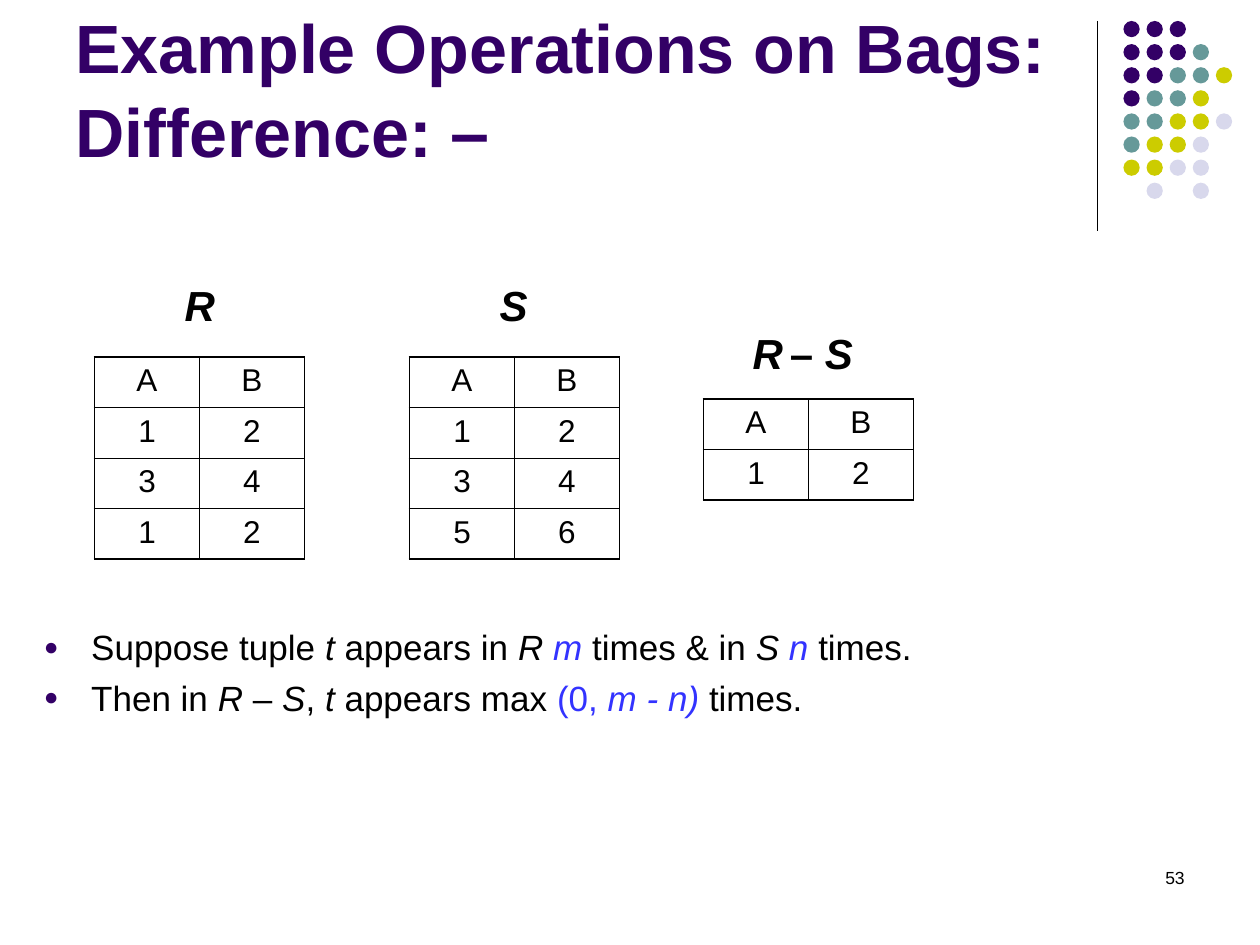
from lxml.etree import SubElement
from pptx import Presentation
from pptx.dml.color import RGBColor
from pptx.enum.shapes import MSO_CONNECTOR, MSO_SHAPE
from pptx.enum.text import MSO_ANCHOR, PP_ALIGN
from pptx.oxml.ns import qn
from pptx.util import Emu, Pt

COLS, ROWS = 120, 90
UNIT = 76200
INK, PLUM, BLUE = "000000", "330066", "3333FF"
DOTS = ["PPP", "PPPT", "PPTTY", "PTTY", "TTYYL", "TYYL", "YYLL", ".L.L"]
HUES = {"P": PLUM, "T": "669999", "Y": "CCCC00", "L": "D8D8EC"}
BASE = {"name": "Arial", "size": Pt(18), "bold": False, "italic": False}
HEAD = {"size": Pt(39), "bold": True}
MARK = {"size": Pt(24), "bold": True, "italic": True}
BODY = {"size": Pt(20)}
ITAL = {"italic": True}


def grid(*cells):
    """Turn grid units into lengths."""
    return [Emu(round(cell * UNIT)) for cell in cells]


def tint(hue):
    """Turn a hex string into a colour."""
    return RGBColor.from_string(hue)


def assign(item, form):
    """Set each attribute named in a dict."""
    for key, value in form.items():
        setattr(item, key, value)


def write(para, runs, form):
    """Add runs of (text, extra format, colour) to a paragraph."""
    for text, extra, hue in runs:
        run = para.add_run()
        run.text = text
        assign(run.font, {**BASE, **form, **extra})
        run.font.color.rgb = tint(hue)


def add_text(slide, place, lines, form, frame=None, para=None):
    """Add a text box with one paragraph for each list of runs."""
    box = slide.shapes.add_textbox(*grid(*place)).text_frame
    assign(box, {"word_wrap": True, **(frame or {})})
    for num, runs in enumerate(lines):
        item = box.add_paragraph() if num else box.paragraphs[0]
        assign(item, para or {})
        write(item, runs, form)
    return box


def add_points(slide, place, lines):
    """Add a bulleted list."""
    box = add_text(slide, place, lines, BODY)
    for num, para in enumerate(box.paragraphs):
        if num:
            para.space_before = Pt(5)
        props = para._p.get_or_add_pPr()
        props.set("marL", "342900")
        props.set("indent", "-342900")
        SubElement(SubElement(props, qn("a:buClr")), qn("a:srgbClr"), val=PLUM)
        SubElement(props, qn("a:buSzPct"), val="70000")
        SubElement(props, qn("a:buFont"), typeface="Arial")
        SubElement(props, qn("a:buChar"), char="●")


def edge(cell, side, width):
    """Draw one border of a cell."""
    line = SubElement(cell._tc.get_or_add_tcPr(), qn("a:ln" + side), w=str(Pt(width)))
    SubElement(SubElement(line, qn("a:solidFill")), qn("a:srgbClr"), val=INK)


def add_bag(slide, left, top, rows):
    """Add a table of tuples with a heavier outer frame."""
    high, wide = len(rows), len(rows[0])
    place = grid(left, top, wide * 10, high * 4.8)
    table = slide.shapes.add_table(high, wide, *place).table
    assign(table, {"first_row": False, "horz_banding": False})
    for r, row in enumerate(rows):
        table.rows[r].height = grid(4.8)[0]
        for c, text in enumerate(row):
            cell = table.cell(r, c)
            outer = {"L": c == 0, "R": c == wide - 1, "T": r == 0, "B": r == high - 1}
            for side, rim in outer.items():
                edge(cell, side, 1.08 if rim else 0.45)
            cell.fill.background()
            para = cell.text_frame.paragraphs[0]
            para.alignment = PP_ALIGN.CENTER
            write(para, [(text, {}, INK)], {})


def add_dots(slide, left, top):
    """Add the dot pattern in the corner."""
    for r, row in enumerate(DOTS):
        for c, key in enumerate(row):
            if key in HUES:
                place = grid(left + c * 2.2, top + r * 2.2, 1.55, 1.55)
                dot = slide.shapes.add_shape(MSO_SHAPE.OVAL, *place)
                dot.shadow.inherit = False
                dot.fill.solid()
                dot.fill.fore_color.rgb = tint(HUES[key])
                dot.line.fill.background()


def add_rule(slide, *ends):
    """Add a thin straight line."""
    rule = slide.shapes.add_connector(MSO_CONNECTOR.STRAIGHT, *grid(*ends))
    rule.line.color.rgb = tint(INK)
    rule.line.width = Pt(0.75)
    SubElement(rule._element.spPr, qn("a:effectLst"))


def main():
    """Build the slide and save it."""
    deck = Presentation()
    deck.slide_width, deck.slide_height = grid(COLS, ROWS)
    slide = deck.slides.add_slide(deck.slide_layouts[6])
    add_rule(slide, 104.5, 2, 104.5, 22)
    add_dots(slide, 107, 2)
    title = [("Example Operations on Bags: Difference: ", {}, PLUM),
             ("–", {"size": Pt(40)}, PLUM)]
    add_text(slide, (6, 1.5, 99, 15.4), [title], HEAD,
             {"vertical_anchor": MSO_ANCHOR.BOTTOM})
    add_points(slide, (3, 59, 94, 13), [
        [("Suppose tuple ", {}, INK), ("t", ITAL, INK), (" appears in ", {}, INK),
         ("R ", ITAL, INK), ("m ", ITAL, BLUE), ("times & in ", {}, INK),
         ("S ", ITAL, INK), ("n ", ITAL, BLUE), ("times.", {}, INK)],
        [("Then in ", {}, INK), ("R", ITAL, INK), (" – ", {}, INK),
         ("S", ITAL, INK), (", ", {}, INK), ("t", ITAL, INK),
         (" appears max ", {}, INK), ("(0, ", {}, BLUE),
         ("m - n) ", ITAL, BLUE), ("times.", {}, INK)],
    ])
    add_bag(slide, 9, 34, ["AB", "12", "34", "12"])
    add_bag(slide, 39, 34, ["AB", "12", "34", "56"])
    add_bag(slide, 67, 38, ["AB", "12"])
    minus = [("R", {}, INK), (" ", {"size": Pt(14)}, INK),
             ("– ", {"italic": False}, INK), ("S", {}, INK)]
    labels = [((16.4, 26, 5.3, 6), [("R", {}, INK)]),
              ((46.4, 26, 5.1, 6), [("S", {}, INK)]),
              ((70.5, 30.6, 11.9, 6.7), minus)]
    for place, runs in labels:
        add_text(slide, place, [runs], MARK, {"margin_right": 0})
    add_text(slide, (86, 82, 28, 6), [[("53", {}, INK)]], {"size": Pt(10)},
             None, {"alignment": PP_ALIGN.RIGHT})
    deck.save("out.pptx")


if __name__ == "__main__":
    main()
